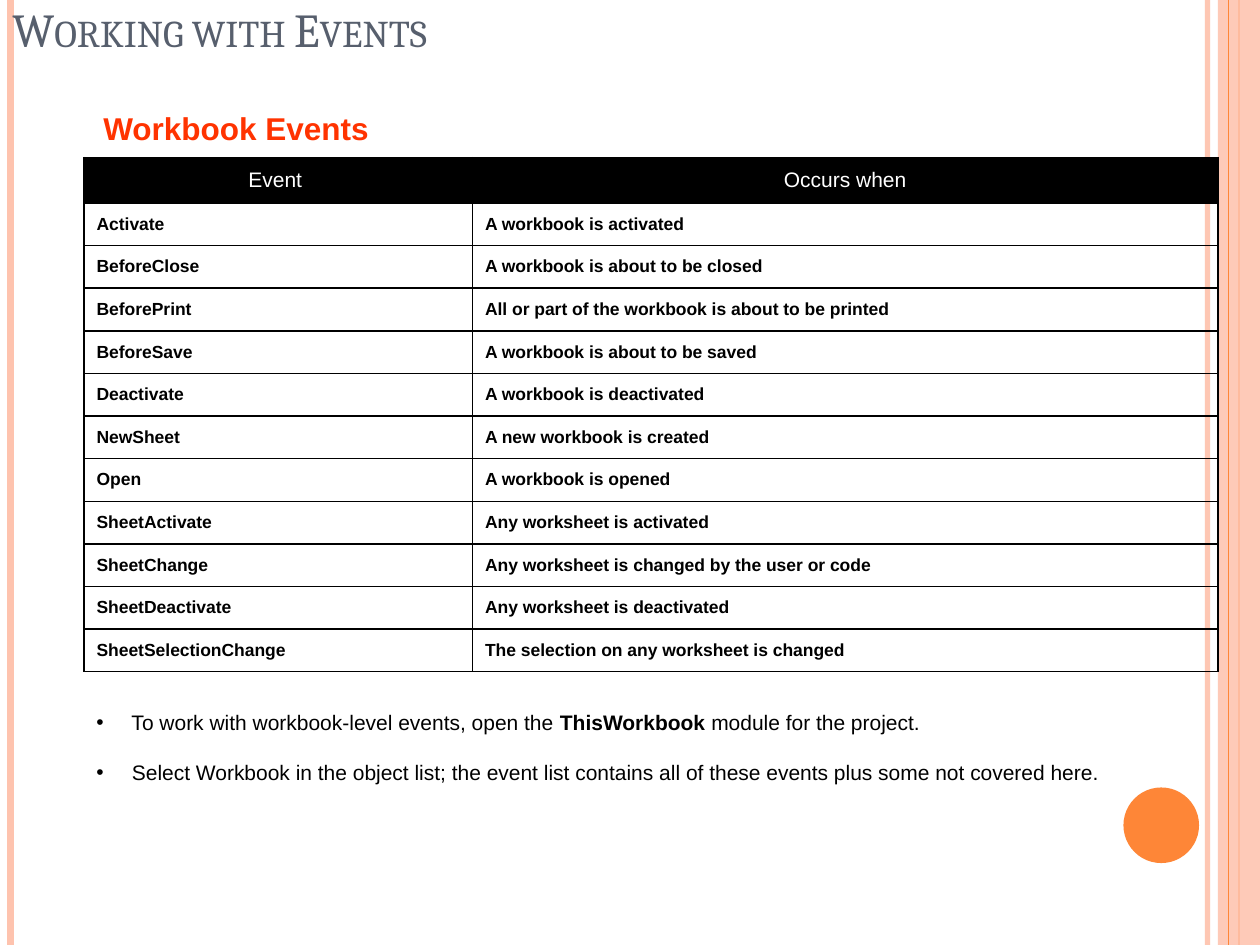
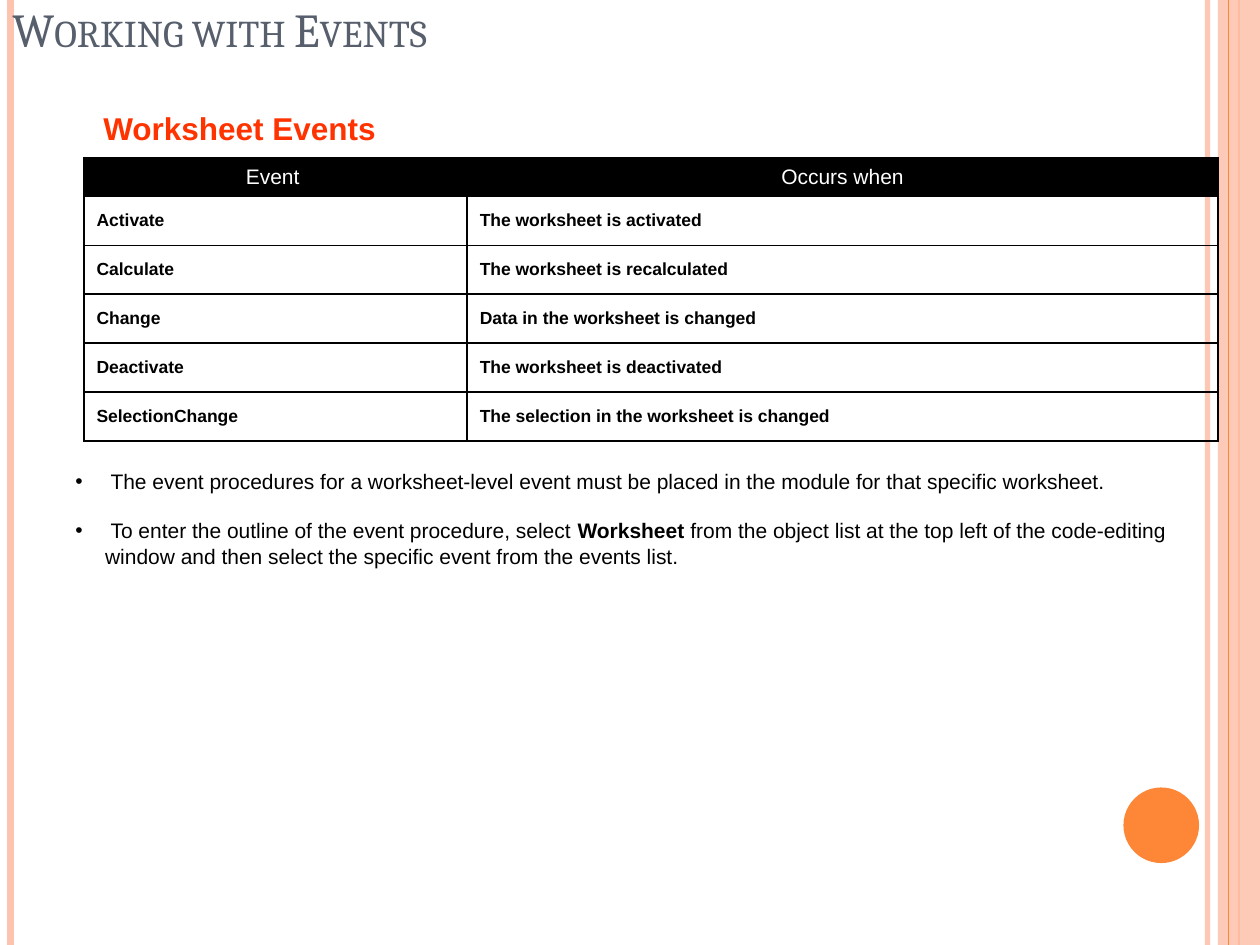
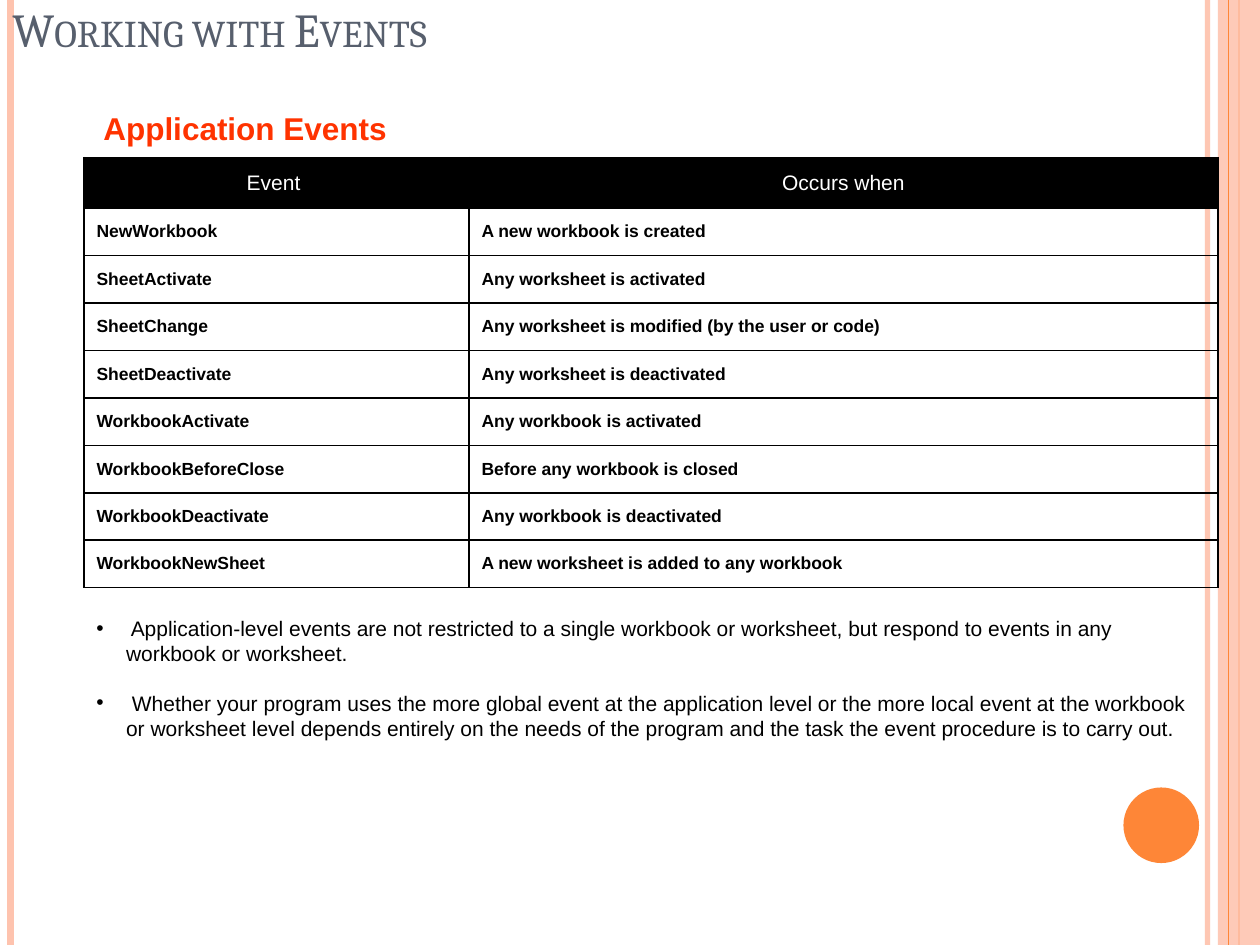
from lxml.etree import SubElement
from pptx import Presentation
from pptx.dml.color import RGBColor
from pptx.enum.shapes import MSO_CONNECTOR, MSO_SHAPE
from pptx.enum.text import MSO_ANCHOR, PP_ALIGN
from pptx.oxml.ns import qn
from pptx.util import Pt

WIDTH, HEIGHT = 720, 540
ORANGE, PEACH, SLATE, RED = "FE8637", "FEC3AE", "575F6D", "FF3300"
BLACK, WHITE = "000000", "FFFFFF"

# Text formats
TITLE = {"name": "Cambria", "size": Pt(27), "bold": False, "color": SLATE}
HEADING = {"name": "Arial", "size": Pt(18), "bold": True, "color": RED}
TABLE_HEAD = {"name": "Arial", "size": Pt(12), "bold": False, "color": WHITE}
TABLE_BODY = {"name": "Arial", "size": Pt(10), "bold": True, "color": BLACK}
BODY = {"name": "Arial", "size": Pt(12), "bold": False, "color": BLACK}

# Vertical lines: x, colour, width, opacity in percent
LINES_BEHIND = [(690, PEACH, 3, 93), (6, PEACH, 4.5, 100), (708, ORANGE, 1.5, 100)]
LINE_IN_FRONT = (702, ORANGE, 0.75, 100)


def rgb(hex_color):
    return RGBColor.from_string(hex_color)


def set_opacity(shape, percent):
    if percent < 100:
        color = next(shape._element.spPr.iter(qn("a:srgbClr")))
        SubElement(color, qn("a:alpha"), val=str(percent * 1000))


class Deck:
    """Holds the shared style and the current slide."""

    def __init__(self):
        self.presentation = Presentation()
        self.presentation.slide_width = Pt(WIDTH)
        self.presentation.slide_height = Pt(HEIGHT)
        self.slide = None

    def new_slide(self, title, heading):
        layout = self.presentation.slide_layouts[6]
        self.slide = self.presentation.slides.add_slide(layout)
        self.background()
        frame = self.text_box(0, 0, 480, 36)
        frame.vertical_anchor = MSO_ANCHOR.BOTTOM
        run = self.run(frame.paragraphs[0], title, TITLE)
        run.font._element.set("cap", "small")
        frame = self.text_box(52, 59, 644, 36)
        self.run(frame.paragraphs[0], heading, HEADING)

    def background(self):
        for line in LINES_BEHIND:
            self.vertical_line(*line)
        self.shape(MSO_SHAPE.RECTANGLE, 696, 0, 24, HEIGHT, PEACH, 87)
        self.vertical_line(*LINE_IN_FRONT)
        self.shape(MSO_SHAPE.OVAL, 642, 450, 43.2, 43.2, ORANGE)

    def vertical_line(self, x, color, width, opacity):
        connector = self.slide.shapes.add_connector(
            MSO_CONNECTOR.STRAIGHT, Pt(x), 0, Pt(x), Pt(HEIGHT))
        connector.line.color.rgb = rgb(color)
        connector.line.width = Pt(width)
        set_opacity(connector, opacity)
        SubElement(connector._element.spPr, qn("a:effectLst"))

    def shape(self, kind, left, top, width, height, color, opacity=100):
        shape = self.slide.shapes.add_shape(
            kind, Pt(left), Pt(top), Pt(width), Pt(height))
        shape.shadow.inherit = False
        shape.fill.solid()
        shape.fill.fore_color.rgb = rgb(color)
        shape.line.fill.background()
        set_opacity(shape, opacity)

    def text_box(self, left, top, width, height):
        shape = self.slide.shapes.add_textbox(
            Pt(left), Pt(top), Pt(width), Pt(height))
        shape.text_frame.word_wrap = True
        return shape.text_frame

    def run(self, paragraph, text, format_values):
        run = paragraph.add_run()
        run.text = text
        for name, value in format_values.items():
            if name == "color":
                run.font.color.rgb = rgb(value)
            else:
                setattr(run.font, name, value)
        return run

    def table(self, rows, first_width, height, head_height):
        """Event table: a black header row above equal body rows."""
        rows = [("Event ", "Occurs when")] + rows
        table = self.slide.shapes.add_table(
            len(rows), 2, Pt(48), Pt(90), Pt(648), Pt(height)).table
        table.first_row = table.horz_banding = False
        table.columns[0].width = Pt(first_width)
        table.columns[1].width = Pt(648 - first_width)
        body_height = (height - head_height) / (len(rows) - 1)
        for row_index, texts in enumerate(rows):
            is_head = row_index == 0
            table.rows[row_index].height = Pt(head_height if is_head else body_height)
            for column_index, text in enumerate(texts):
                self.cell(table.cell(row_index, column_index), text, is_head)

    def cell(self, cell, text, is_head):
        cell.vertical_anchor = MSO_ANCHOR.MIDDLE
        properties = cell._tc.get_or_add_tcPr()
        for side in ("L", "R", "T", "B"):
            border = SubElement(properties, qn("a:ln" + side), w=str(Pt(1)))
            fill = SubElement(border, qn("a:solidFill"))
            SubElement(fill, qn("a:srgbClr"), val=BLACK)
        paragraph = cell.text_frame.paragraphs[0]
        if is_head:
            cell.fill.solid()
            cell.fill.fore_color.rgb = rgb(BLACK)
            paragraph.alignment = PP_ALIGN.CENTER
        else:
            cell.fill.background()
        self.run(paragraph, text, TABLE_HEAD if is_head else TABLE_BODY)

    def bullets(self, left, top, height, texts):
        """Bulleted paragraphs; words between asterisks are bold."""
        frame = self.text_box(left, top, 648, height)
        for index, text in enumerate(texts):
            paragraph = frame.add_paragraph() if index else frame.paragraphs[0]
            if index:
                paragraph.space_before = Pt(14)
            properties = paragraph._p.get_or_add_pPr()
            properties.set("marL", str(Pt(17)))
            properties.set("indent", str(-Pt(17)))
            SubElement(properties, qn("a:buFont"), typeface="Arial")
            SubElement(properties, qn("a:buChar"), char="•")
            for part, piece in enumerate(text.split("*")):
                self.run(paragraph, piece, {**BODY, "bold": part % 2 == 1})


deck = Deck()

# Slide 1: workbook events
deck.new_slide("Working with Events", "Workbook Events")
deck.table([
    ("Activate", "A workbook is activated"),
    ("BeforeClose", "A workbook is about to be closed"),
    ("BeforePrint", "All or part of the workbook is about to be printed"),
    ("BeforeSave", "A workbook is about to be saved"),
    ("Deactivate", "A workbook is deactivated"),
    ("NewSheet", "A new workbook is created"),
    ("Open", "A workbook is opened"),
    ("SheetActivate", "Any worksheet is activated"),
    ("SheetChange", "Any worksheet is changed by the user or code"),
    ("SheetDeactivate", "Any worksheet is deactivated"),
    ("SheetSelectionChange", "The selection on any worksheet is changed"),
], first_width=222, height=294, head_height=26)
deck.bullets(48, 402, 50, [
    " To work with workbook-level events, open the *ThisWorkbook *"
    "module for the project.",
    " Select Workbook in the object list; the event list contains all of these "
    "events plus some not covered here.",
])

# Slide 2: worksheet events
deck.new_slide("Working with Events", "Worksheet Events")
deck.table([
    ("Activate", "The worksheet is activated"),
    ("Calculate", "The worksheet is recalculated"),
    ("Change", "Data in the worksheet is changed"),
    ("Deactivate", "The worksheet is deactivated"),
    ("SelectionChange", "The selection in the worksheet is changed"),
], first_width=219, height=162, head_height=22.3)
deck.bullets(36, 264, 65, [
    " The event procedures for a worksheet-level event must be placed in the "
    "module for that specific worksheet.",
    " To enter the outline of the event procedure, select *Worksheet* from the "
    "object list at the top left of the code-editing window and then select the "
    "specific event from the events list.",
])

# Slide 3: application events
deck.new_slide("Working with Events", "Application Events")
deck.table([
    ("NewWorkbook", "A new workbook is created"),
    ("SheetActivate", "Any worksheet is activated"),
    ("SheetChange", "Any worksheet is modified (by the user or code)"),
    ("SheetDeactivate", "Any worksheet is deactivated"),
    ("WorkbookActivate", "Any workbook is activated"),
    ("WorkbookBeforeClose", "Before any workbook is closed"),
    ("WorkbookDeactivate", "Any workbook is deactivated"),
    ("WorkbookNewSheet", "A new worksheet is added to any workbook"),
], first_width=220, height=246, head_height=29)
deck.bullets(48, 348, 79, [
    " Application-level events are not restricted to a single workbook or "
    "worksheet, but respond to events in any workbook or worksheet.",
    " Whether your program uses the more global event at the application level "
    "or the more local event at the workbook or worksheet level depends entirely "
    "on the needs of the program and the task the event procedure is to carry out.",
])

deck.presentation.save("out.pptx")
